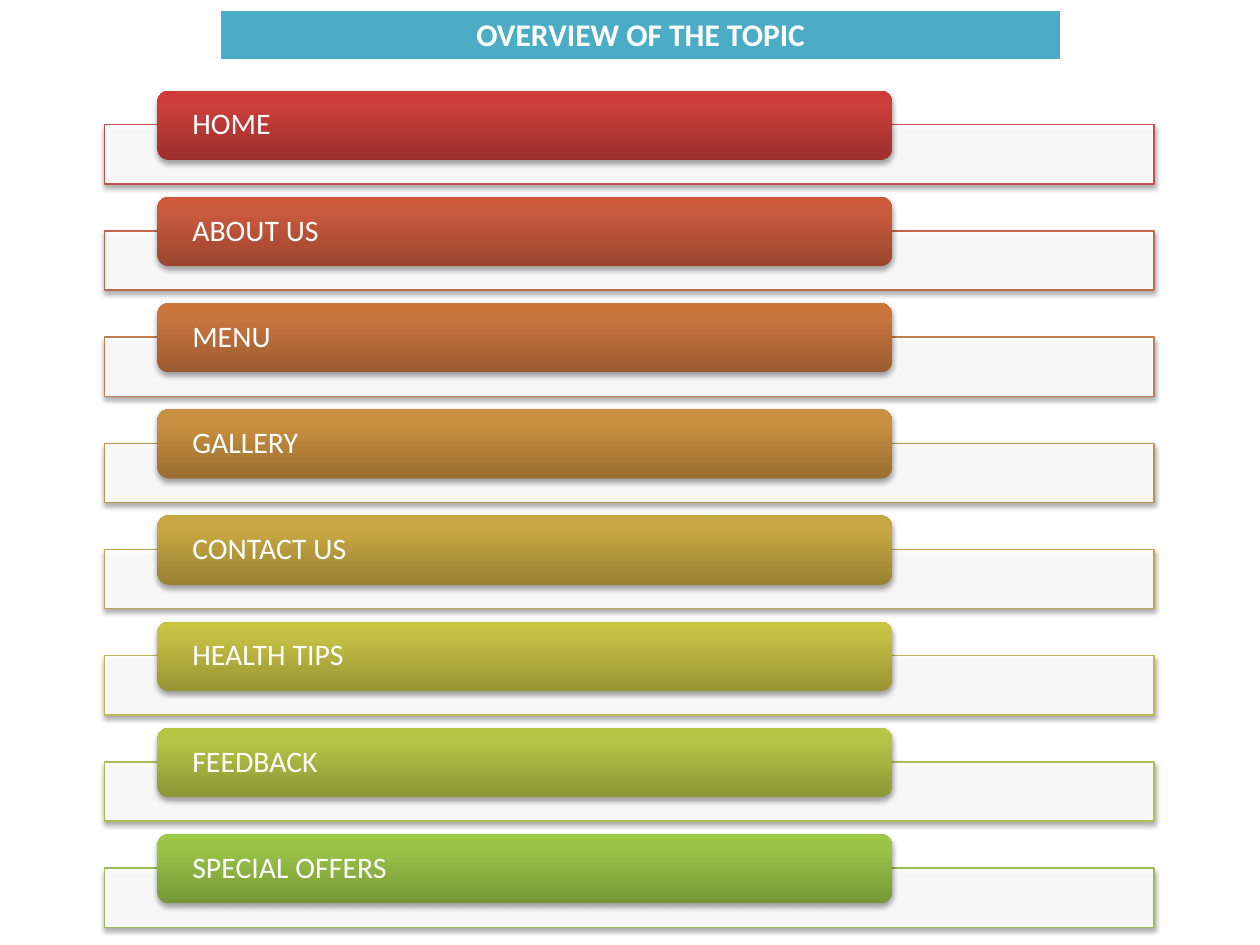
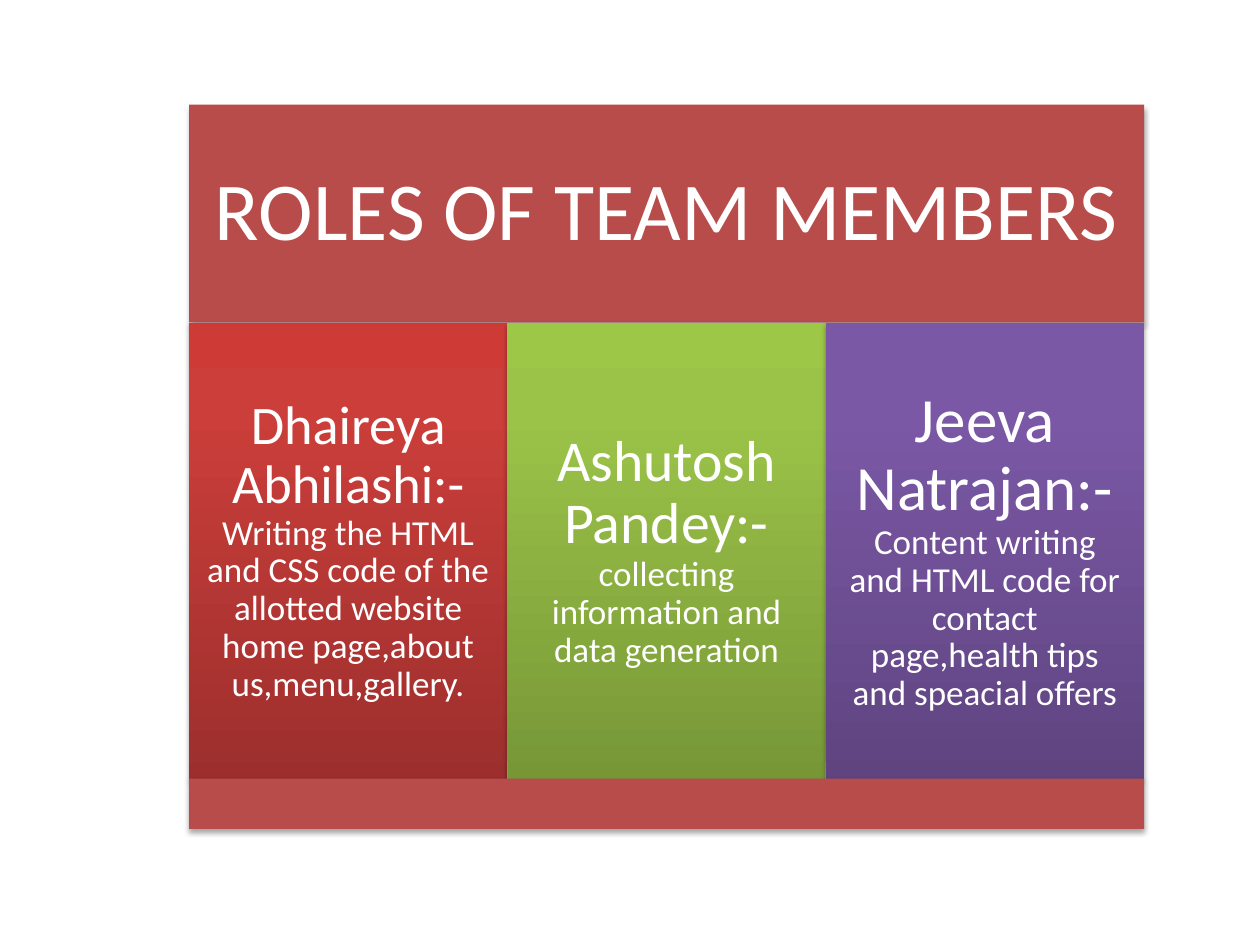
from lxml import etree
from pptx import Presentation
from pptx.dml.color import RGBColor
from pptx.enum.shapes import MSO_SHAPE
from pptx.enum.text import MSO_ANCHOR, PP_ALIGN
from pptx.oxml.ns import qn
from pptx.util import Inches, Pt

RECT = MSO_SHAPE.RECTANGLE
ROUND = MSO_SHAPE.ROUNDED_RECTANGLE
MIDDLE = MSO_ANCHOR.MIDDLE
LEFT = PP_ALIGN.LEFT
CENTER = PP_ALIGN.CENTER

FONT = "Calibri"


def tones(*codes):
    return tuple(RGBColor.from_string(code) for code in codes)


WHITE = RGBColor(0xFF, 0xFF, 0xFF)
BLACK = RGBColor(0x00, 0x00, 0x00)
TEAL = RGBColor(0x4B, 0xAC, 0xC6)
BRICK = RGBColor(0xB7, 0x4C, 0x4A)
EDGES = tones("C0504D", "BF674F", "BF7C50", "BE9152",
              "BDA554", "BCB856", "AEBC57", "9BBB59")
RED = tones("9C2F2D", "CB3E3A", "CE3B37")
RUST = tones("9B452E", "CA5A3C", "CD5939")
ORANGE = tones("9A5A30", "C9753E", "CC753C")
AMBER = tones("9A6E31", "C88F40", "CB903E")
GOLD = tones("998133", "C7A842", "CAAA40")
OLIVE = tones("989434", "C5C044", "C9C342")
LIME = tones("8A9736", "B3C446", "B5C844")
GREEN = tones("779737", "9BC348", "9DC746")
PURPLE = tones("5F4480", "7B58A6", "7C57A8")

TOPICS = (
    ("HOME", RED), ("ABOUT US", RUST), ("MENU", ORANGE), ("GALLERY", AMBER),
    ("CONTACT US", GOLD), ("HEALTH TIPS", OLIVE), ("FEEDBACK", LIME),
    ("SPECIAL OFFERS", GREEN),
)
MEMBERS = (
    ("Dhaireya Abhilashi:-",
     "Writing the HTML and CSS code of the allotted website home page,about us,menu,gallery.",
     31, 0.13, RED),
    ("Ashutosh Pandey:-", "collecting information and data generation",
     33, 0.14, GREEN),
    ("Jeeva Natrajan:-",
     "Content writing and HTML code for contact page,health tips and speacial offers",
     36, 0.15, PURPLE),
)


def add_xml(parent, tag, **attrs):
    return etree.SubElement(parent, qn(tag), {k: str(v) for k, v in attrs.items()})


def add_color(parent, color, alpha=None):
    node = add_xml(parent, "a:srgbClr", val=color)
    if alpha is not None:
        add_xml(node, "a:alpha", val=alpha * 1000)


def write(para, text, size, color=WHITE, bold=False, align=LEFT, space=None):
    para.alignment = align
    para.line_spacing = space
    run = para.add_run()
    run.text = text
    run.font.name = FONT
    run.font.size = Pt(size)
    run.font.color.rgb = color
    run.font.bold = bold


class Deck:
    def __init__(self):
        self.prs = Presentation()
        self.prs.slide_width = Inches(10)
        self.prs.slide_height = Inches(7.5)
        self.slide = None

    def new(self):
        self.slide = self.prs.slides.add_slide(self.prs.slide_layouts[6])

    def box(self, x, y, w, h, fill, kind=RECT, edge=None, alpha=None):
        shape = self.slide.shapes.add_shape(
            kind, Inches(x), Inches(y), Inches(w), Inches(h))
        props = shape.element.spPr
        if isinstance(fill, RGBColor):
            shape.fill.solid()
            shape.fill.fore_color.rgb = fill
            if alpha is not None:
                node = props.find(qn("a:solidFill")).find(qn("a:srgbClr"))
                add_xml(node, "a:alpha", val=alpha * 1000)
        else:
            self.blend(props, fill)
        if edge is None:
            shape.line.fill.background()
        else:
            shape.line.color.rgb = edge
            shape.line.width = Pt(0.75)
        self.shade(shape)
        return shape

    def blend(self, props, colors):
        grad = etree.Element(qn("a:gradFill"), rotWithShape="1")
        stops = add_xml(grad, "a:gsLst")
        for place, color in zip((0, 80, 100), colors):
            add_color(add_xml(stops, "a:gs", pos=place * 1000), color)
        add_xml(grad, "a:lin", ang=270 * 60000, scaled=0)
        props.find(qn("a:prstGeom")).addnext(grad)

    def shade(self, shape):
        shape.shadow.inherit = False
        effects = shape.element.spPr.find(qn("a:effectLst"))
        outer = add_xml(effects, "a:outerShdw", blurRad=Pt(3.1), dist=Pt(1.8),
                        dir=90 * 60000, rotWithShape=0)
        add_color(outer, BLACK, 35)

    def label(self, shape, runs, side, top, align=CENTER):
        frame = shape.text_frame
        frame.word_wrap = True
        frame.vertical_anchor = MIDDLE
        frame.margin_left = frame.margin_right = Inches(side)
        frame.margin_top = frame.margin_bottom = Inches(top)
        for text, size in runs:
            write(frame.paragraphs[0], text, size, align=align, space=0.9)

    def banner(self, text, x, y, w, h):
        table = self.slide.shapes.add_table(
            1, 1, Inches(x), Inches(y), Inches(w), Inches(h)).table
        cell = table.cell(0, 0)
        cell.fill.solid()
        cell.fill.fore_color.rgb = TEAL
        write(cell.text_frame.paragraphs[0], text, 18, bold=True, align=CENTER)
        props = cell._tc.get_or_add_tcPr()
        sides = (("a:lnL", 1), ("a:lnR", 1), ("a:lnT", 1), ("a:lnB", 3))
        for spot, (tag, width) in enumerate(sides):
            line = etree.Element(qn(tag), w=str(Pt(width)))
            add_color(add_xml(line, "a:solidFill"), WHITE)
            props.insert(spot, line)


def add_topics(deck):
    deck.new()
    deck.banner("OVERVIEW OF THE TOPIC", 1.75, 0.08, 6.67, 0.41)
    pitch = 5.9 / 7
    for row, ((name, colors), edge) in enumerate(zip(TOPICS, EDGES)):
        top = 0.72 + row * pitch
        deck.box(0.83, top + 0.27, 8.33, 0.47, WHITE, edge=edge, alpha=90)
        tab = deck.box(1.25, top, 5.83, 0.55, colors, ROUND)
        deck.label(tab, [(name, 17)], 0.25, 0, LEFT)


def add_roles(deck):
    deck.new()
    left, width = 1.5, 7.58
    head = deck.box(left, 0.83, width, 1.73, BRICK)
    deck.label(head, [("ROLES OF TEAM MEMBERS", 47)], 0.2, 0.2)
    step = width / len(MEMBERS)
    for col, (name, task, size, inset, colors) in enumerate(MEMBERS):
        card = deck.box(left + col * step, 2.56, step, 3.62, colors)
        deck.label(card, [(name, size), (task, 20)], inset, inset)
    deck.box(left, 6.18, width, 0.4, BRICK)


def main():
    deck = Deck()
    add_topics(deck)
    add_roles(deck)
    deck.prs.save("out.pptx")


if __name__ == "__main__":
    main()
